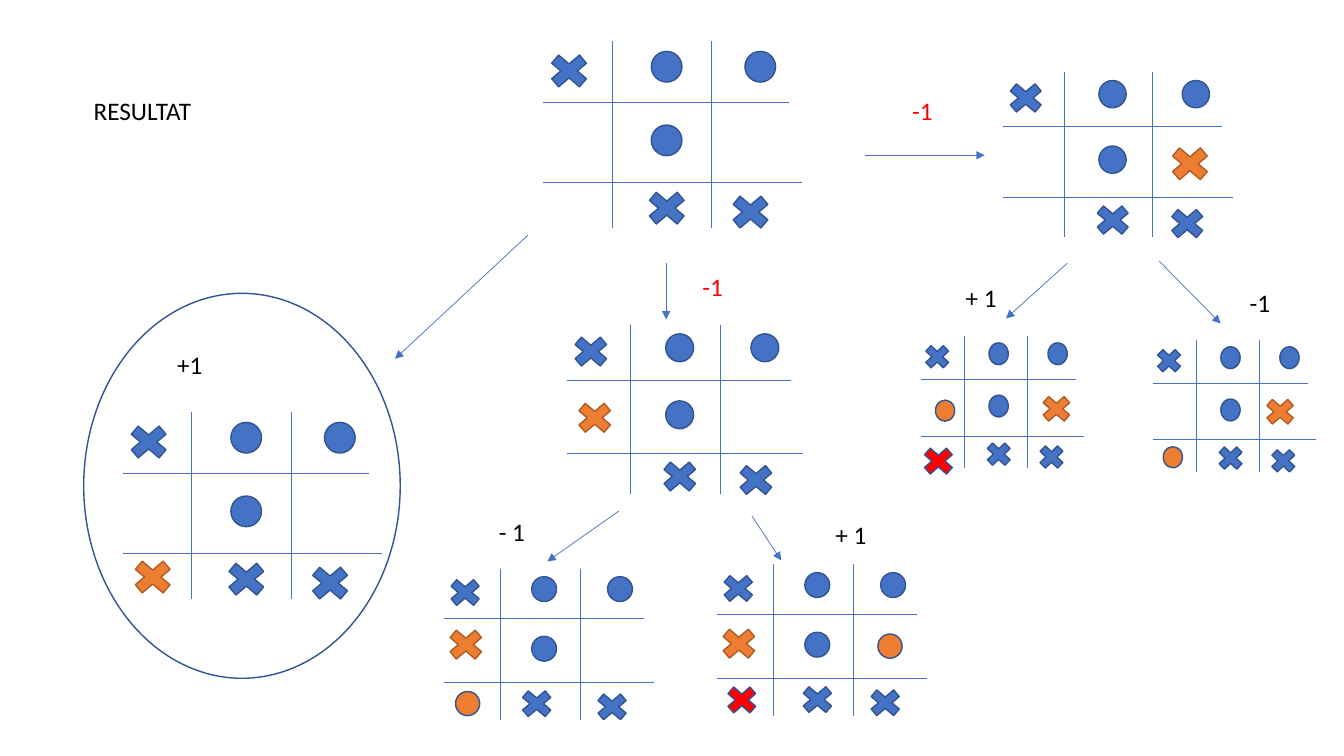
"""Builds a slide showing a minimax game tree for tic-tac-toe."""
from lxml import etree
from pptx import Presentation
from pptx import util as u
from pptx.dml import color
from pptx.enum import shapes, text
from pptx.oxml import ns

COLORS = {
    "blue": "4472C4", "navy": "325491", "orange": "ED7D31",
    "rust": "AF5C24", "red": "FF0000", "black": "000000",
}
CIRCLE = shapes.MSO_SHAPE.OVAL
CROSS = shapes.MSO_SHAPE.MATH_MULTIPLY


class GameTree:
    def __init__(self, page):
        self.page = page
        self.font = "Calibri"
        self.text_size = 18

    def rgb(self, name):
        return color.RGBColor.from_string(COLORS[name])

    def mark(self, kind, left, top, width, height, fill="blue", outline="navy", target=None):
        target = target or self.page.shapes
        shape = target.add_shape(kind, u.Pt(left), u.Pt(top), u.Pt(width), u.Pt(height))
        shape.shadow.inherit = False
        if fill:
            shape.fill.solid()
            shape.fill.fore_color.rgb = self.rgb(fill)
        else:
            shape.fill.background()
        shape.line.color.rgb = self.rgb(outline)
        shape.line.width = u.Pt(1)

    def line(self, x1, y1, x2, y2, arrow=False, target=None):
        target = target or self.page.shapes
        connector = target.add_connector(
            shapes.MSO_CONNECTOR.STRAIGHT, u.Pt(x1), u.Pt(y1), u.Pt(x2), u.Pt(y2))
        connector.line.color.rgb = self.rgb("blue")
        connector.line.width = u.Pt(0.5)
        if arrow:
            outline = connector.line._get_or_add_ln()
            etree.SubElement(outline, ns.qn("a:tailEnd"), type="triangle")
        etree.SubElement(connector._element.spPr, ns.qn("a:effectLst"))

    def board(self, left, top, scale_x, scale_y, middle=69.8):
        group = self.page.shapes.add_group_shape().shapes
        for x1, y1, x2, y2 in [(49.7, 0, 49.7, 133.2), (121, 0, 121, 133.2),
                               (0.7, 100.8, 185.8, 100.8), (0.7, 43.9, 176.4, 43.9)]:
            self.line(left + x1 * scale_x, top + y1 * scale_y,
                      left + x2 * scale_x, top + y2 * scale_y, target=group)
        circles = [(77.8, 7.2), (144.7, 7.2), (77.8, 59.8)]
        crosses = [(0, 5), (129.6, 105.8), (middle, 103)]
        for kind, places, width, height in [(CIRCLE, circles, 21.9, 21.9),
                                            (CROSS, crosses, 38.2, 32.4)]:
            for x, y in places:
                self.mark(kind, left + x * scale_x, top + y * scale_y,
                          width * scale_x, height * scale_y, target=group)

    def label(self, words, left, top, width, ink="black"):
        box = self.page.shapes.add_textbox(u.Pt(left), u.Pt(top), u.Pt(width), u.Pt(29))
        frame = box.text_frame
        frame.text = words
        frame.word_wrap = False
        frame.auto_size = text.MSO_AUTO_SIZE.SHAPE_TO_FIT_TEXT
        for span in frame.paragraphs[0].runs:
            span.font.name = self.font
            span.font.size = u.Pt(self.text_size)
            span.font.color.rgb = self.rgb(ink)


BOARDS = [
    (387.4, 29.5, 1, 1),
    (715.7, 51.1, 0.89, 0.89),
    (87.1, 294.5, 1, 1),
    (404.7, 231.9, 0.91, 0.91),
    (316.8, 406.1, 0.81, 0.81, 63.1),
    (511.9, 403.2, 0.81, 0.81),
    (657.4, 239.8, 0.63, 0.71),
    (823, 242.6, 0.63, 0.71),
]
MOVES = [
    (CROSS, "orange", "rust", 38.2, 32.4, [(90, 396), (830.9, 100.8)]),
    (CROSS, "orange", "rust", 34.6, 29.5, [(407.5, 283.7), (315.4, 445.7), (510.5, 445)]),
    (CROSS, "orange", "rust", 28.8, 25.2, [(740.2, 279.4), (900, 281.5)]),
    (CROSS, "red", "navy", 30.2, 26.6, [(514.8, 486.7), (655.2, 316.1)]),
    (CIRCLE, "orange", "navy", 17.3, 17.3, [(325.4, 493.9), (627.1, 452.9)]),
    (CIRCLE, "orange", "navy", 13.7, 15.1, [(830.9, 319), (668.2, 285.8)]),
]
ARROWS = [
    (377.3, 167.8, 282.2, 256.3), (475.9, 187.9, 475.9, 228.2),
    (617.8, 110.9, 703.4, 110.9), (442.1, 365, 391, 401),
    (537.1, 368.6, 558, 400.3), (762.5, 187.9, 718.6, 227.5),
    (828, 186.5, 871.9, 231.1),
]
LABELS = [
    ("RESULTAT", 59.8, 64.8, 85),
    ("+1", 119.5, 246.2, 33.1),
    ("+ 1", 589.7, 367.2, 36.7),
    ("- 1", 349.2, 365, 33.1),
    ("+ 1", 682.6, 198, 36.7),
    ("-1", 885.6, 201.6, 29.5),
    ("-1", 644.4, 64.8, 29.5, "red"),
    ("-1", 494.6, 190.1, 29.5, "red"),
]


def main():
    deck = Presentation()
    deck.slide_width, deck.slide_height = u.Pt(960), u.Pt(540)
    tree = GameTree(deck.slides.add_slide(deck.slide_layouts[6]))
    for board in BOARDS:
        tree.board(*board)
    for kind, fill, outline, width, height, places in MOVES:
        for left, top in places:
            tree.mark(kind, left, top, width, height, fill, outline)
    for arrow in ARROWS:
        tree.line(*arrow, arrow=True)
    tree.mark(CIRCLE, 59.8, 209.5, 226.1, 275, fill=None)
    for label in LABELS:
        tree.label(*label)
    deck.save("out.pptx")


if __name__ == "__main__":
    main()
